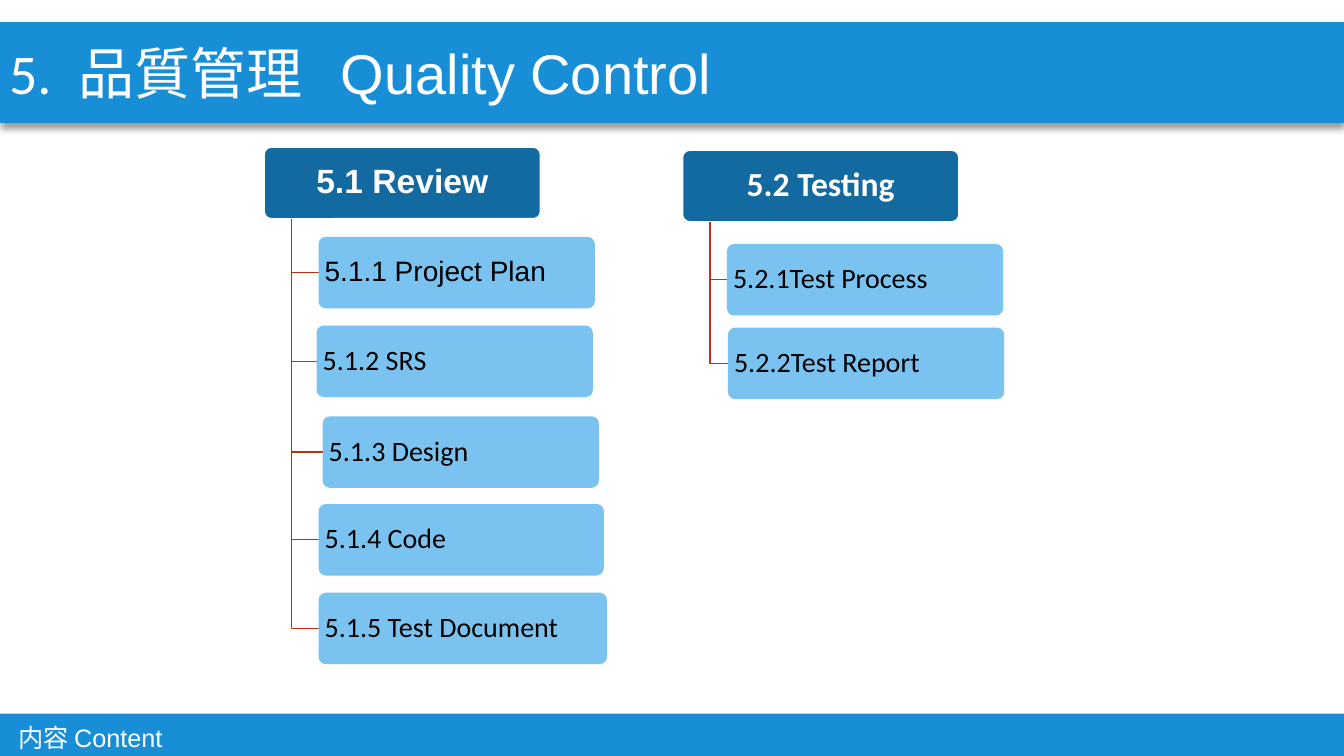
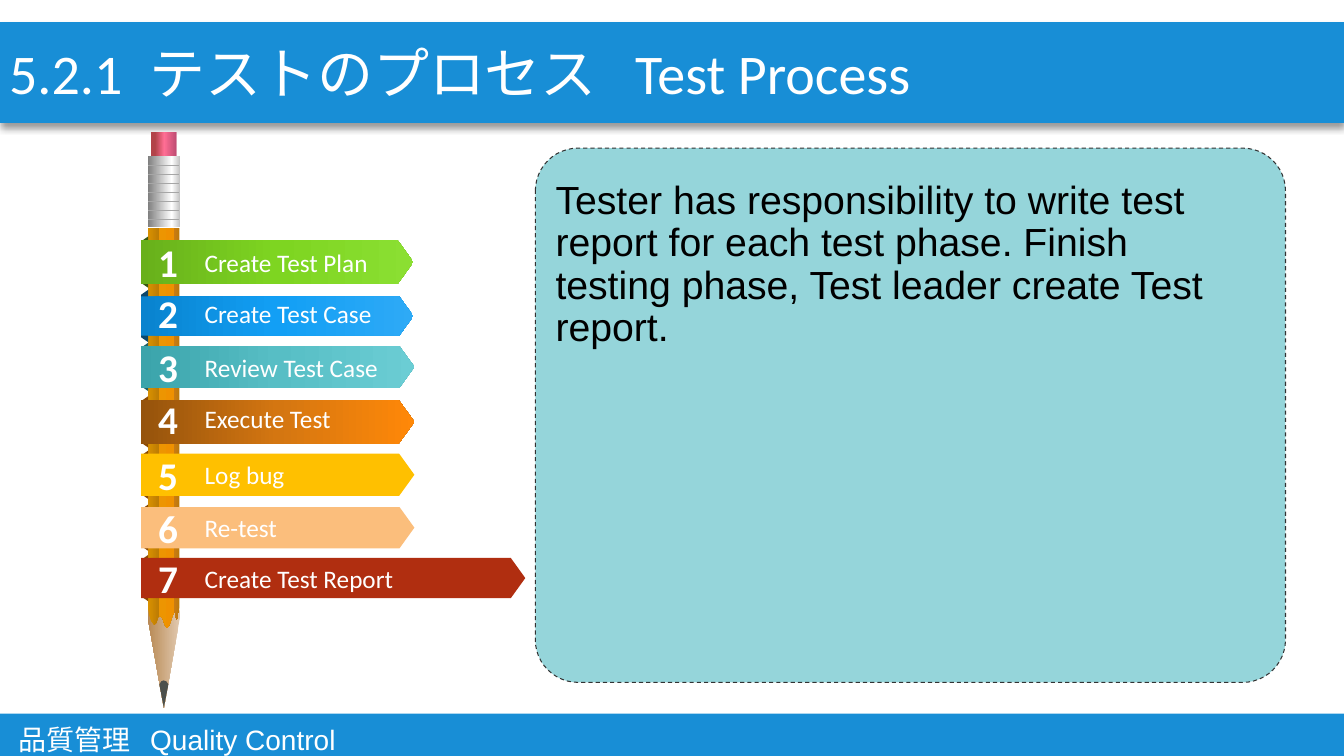
from pptx import Presentation
from pptx.dml.color import RGBColor
from pptx.enum.dml import MSO_LINE
from pptx.enum.shapes import MSO_CONNECTOR, MSO_SHAPE
from pptx.enum.text import MSO_ANCHOR, MSO_AUTO_SIZE, PP_ALIGN
from pptx.oxml import parse_xml
from pptx.oxml.ns import nsdecls, qn
from pptx.util import Inches, Pt

RECT, ROUND = MSO_SHAPE.RECTANGLE, MSO_SHAPE.ROUNDED_RECTANGLE
ARROW, FOLD = MSO_SHAPE.PENTAGON, MSO_SHAPE.TRAPEZOID
LINE, DASH = MSO_CONNECTOR.STRAIGHT, MSO_LINE.DASH
TOP, MID = MSO_ANCHOR.TOP, MSO_ANCHOR.MIDDLE
LEFT, MIDDLE = PP_ALIGN.LEFT, PP_ALIGN.CENTER
FIXED = MSO_AUTO_SIZE.NONE

COLS, ROWS = 133.3, 75
BLUE, DEEP, PALE, RUST = "188ED6", "126AA0", "6CBDEF", "BB3111"
WHITE, BLACK = "FFFFFF", "000000"
SANS, BODY = "Arial", "Calibri"

STEPS = [
    ("Create Test Plan", 23.8, 4.4, 5.1, 27, 0, "375814", ["68B01B", "7ED521", "8BDF32"]),
    ("Create Test Case", 29.4, 3.9, 5.2, 27, 0.3, "0C476B", ["0983CE", "129FF5", "2EAAF6"]),
    ("Review Test Case", 34.3, 4.2, 4.8, 27.1, 0, "236064", ["3BA4AB", "57BEC5", "6BCDD4"]),
    ("Execute Test", 39.65, 4.4, 5.1, 27.1, 0.3, "8B4A04", ["95530C", "D47611", "FF8808"]),
    ("Log bug", 45, 4.2, 4.8, 27.1, 0, "8B4A04", ["FFC000"]),
    ("Re-test", 50.3, 4.1, 4.6, 27.1, 0, "8B4A04", ["FBBE7C"]),
    ("Create Test Report", 55.35, 4, 4.6, 38.1, 0, "8B4A04", ["B02E10"]),
]
WOOD = [(0, "D99100"), (33, "BD7C04"), (34, "ED9501"), (82, "EF9100"),
        (83, "C87B14"), (100, "BC7908")]
EDGE = [(3.1, 47.1), (3, 47.9), (2.8, 48.4), (2.7, 47.8), (2.6, 47.6), (2.4, 48),
        (2.1, 48.9), (1.9, 49.2), (1.7, 49), (1.4, 48.2), (1.2, 48), (1, 48.1),
        (0.8, 48.7), (0.6, 48.9), (0.3, 48.5), (0.1, 47.9), (0, 47.4)]


def cell(n):
    """Turn grid cells, ten to the inch, into a length."""
    return Inches(n / 10)


def tint(code):
    """Give the colour for a hex string."""
    return RGBColor.from_string(code)


def place(shape, x, y, w, h):
    """Move a shape to a box on the grid."""
    shape.left, shape.top, shape.width, shape.height = map(cell, (x, y, w, h))


def paint(shape, fill):
    """Give a shape a plain fill, no line and no shadow."""
    shape.shadow.inherit = False
    shape.line.fill.background()
    shape.fill.solid()
    shape.fill.fore_color.rgb = tint(fill)


def stroke(shape, code, width):
    """Give a shape or connector a line."""
    shape.line.color.rgb = tint(code)
    shape.line.width = Pt(width)


def shade(shape, stops, angle=0):
    """Replace the fill of a shape by a linear gradient."""
    marks = "".join(f'<a:gs pos="{pos * 1000}"><a:srgbClr val="{code}"/></a:gs>'
                    for pos, code in stops)
    props = shape.element.spPr
    props.replace(props.find(qn("a:solidFill")), parse_xml(
        f'<a:gradFill {nsdecls("a")} rotWithShape="1"><a:gsLst>{marks}</a:gsLst>'
        f'<a:lin ang="{angle * 60000}" scaled="0"/></a:gradFill>'))


def block(slide, kind, box, fill, adj=None, turn=0):
    """Add a preset shape on the grid."""
    shape = slide.shapes.add_shape(kind, *map(cell, box))
    paint(shape, fill)
    shape.rotation = turn
    if adj is not None:
        shape.adjustments[0] = adj
    return shape


def trace(slide, points, close=True):
    """Add a freeform through grid points."""
    first, *rest = [(cell(x), cell(y)) for x, y in points]
    pen = slide.shapes.build_freeform(*first)
    pen.add_line_segments(rest, close=close)
    return pen.convert_to_shape()


def outline(slide, points, fill):
    """Add a filled polygon on the grid."""
    shape = trace(slide, points)
    paint(shape, fill)
    return shape


def elbow(slide, x, y, right, low):
    """Draw a bent branch, down and then right."""
    shape = trace(slide, [(x, y), (x, low), (right, low)], False)
    shape.shadow.inherit = False
    shape.fill.background()
    stroke(shape, RUST, 1)


def wire(slide, start, end, code, width):
    """Add a straight line between two grid points."""
    line = slide.shapes.add_connector(LINE, *map(cell, start + end))
    stroke(line, code, width)
    line.element.spPr.append(parse_xml(f'<a:effectLst {nsdecls("a")}/>'))


def write(shape, runs, size, code=WHITE, bold=False, align=LEFT, anchor=MID,
          pad=(0.5, 0.3, 0.5, 0.3), space=1, tabs=(), plain=False):
    """Fill a shape with one paragraph of (text, font) runs."""
    frame = shape.text_frame
    frame.auto_size, frame.word_wrap, frame.vertical_anchor = FIXED, True, anchor
    (frame.margin_left, frame.margin_top,
     frame.margin_right, frame.margin_bottom) = map(cell, pad)
    para = frame.paragraphs[0]
    props = para._p.get_or_add_pPr()
    if plain:
        props.set("marL", "0")
        props.set("indent", "0")
        props.append(parse_xml(f'<a:buNone {nsdecls("a")}/>'))
    if tabs:
        stops = "".join(f'<a:tab pos="{cell(n)}" algn="l"/>' for n in tabs)
        props.append(parse_xml(f'<a:tabLst {nsdecls("a")}>{stops}</a:tabLst>'))
    para.alignment, para.line_spacing, para.space_before = align, space, Pt(0)
    for text, face in runs:
        run = para.add_run()
        run.text = text
        font = run.font
        font.name, font.size, font.bold = face, Pt(size), bold
        font.color.rgb = tint(code)


def frame(slide, runs, tabs, foot, size, stops=()):
    """Set the title on its band, and the footer band."""
    band = block(slide, RECT, (0, 2.2, COLS, 10), BLUE)
    band.element.spPr.find(qn("a:effectLst")).append(parse_xml(
        f'<a:outerShdw {nsdecls("a")} blurRad="{Pt(5)}" dist="{Pt(3)}" dir="5400000" '
        'algn="t" rotWithShape="0"><a:srgbClr val="000000"><a:alpha val="40000"/>'
        '</a:srgbClr></a:outerShdw>'))
    title = slide.shapes.title
    place(title, 0, 3.3, COLS, 7.7)
    write(title, runs, 40, anchor=TOP, pad=(0.9, 0.5, 1, 0), tabs=tabs)
    band.element.addnext(title.element)
    base = block(slide, RECT, (0, 70.8, COLS, ROWS - 70.8), BLUE)
    write(base, [(foot, SANS)], size, anchor=TOP, pad=(1.8, 0.85, 1, 0), tabs=stops)


def tree(slide, x, y, head, face, kids):
    """Draw a heading with its branches, from its top left corner."""
    root = block(slide, ROUND, (x, y, 27.4, 7.1), DEEP, 0.1)
    stroke(root, WHITE, 1)
    write(root, [(head, face)], 24, bold=True, align=MIDDLE, space=0.9)
    tall = 7.1
    for dx, dy, wide, text, font in kids:
        elbow(slide, x + 2.7, y + tall, x + dx, y + dy + tall / 2)
        leaf = block(slide, ROUND, (x + dx, y + dy, wide, tall), PALE, 0.1)
        code = leaf.element.spPr.find(qn("a:solidFill"))[0]
        code.append(parse_xml(f'<a:alpha {nsdecls("a")} val="90000"/>'))
        write(leaf, [(text, font)], 20, BLACK, pad=(0.4, 0.5, 0.4, 0.5), space=0.9)


def pencil(slide, x, y):
    """Draw the upright pencil from its top left corner."""
    cone = block(slide, ARROW, (x - 3.3, y + 50.7, 9.7, 3.2), "E1C9AF", 2.82, 90)
    shade(cone, [(0, "E1C9AF"), (100, "B88954")], 90)
    wood = [(0, 9.5), (3.1, 9.5)] + EDGE
    shade(outline(slide, [(x + dx, y + dy) for dx, dy in wood], "ED9501"), WOOD)
    ring = block(slide, RECT, (x, y + 2.4, 3.2, 7), WHITE)
    shade(ring, [(0, "BFBFBF"), (27, WHITE), (100, "808080")], 180)
    cap = block(slide, RECT, (x + 0.3, y, 2.5, 2.4), "FF6E94")
    shade(cap, [(16, "B24349"), (52, "FF6E94"), (100, "BF4C73")])
    lead = [(1.1, 54.8), (1.3, 54.5), (1.5, 54.4), (1.8, 54.5), (2, 54.8), (1.55, 57.1)]
    outline(slide, [(x + dx, y + dy) for dx, dy in lead], "4C504C")
    for i in range(7):
        row = y + 3.3 + 0.9 * i
        wire(slide, (x, row), (x + 3.1, row), "A6A6A6", 0.5)


def ribbon(slide, x, rank, step):
    """Draw one numbered step with its fold."""
    text, y, tall, back, wide, lift, dark, codes = step
    mid = y + tall / 2
    block(slide, FOLD, (x + 0.35 - back / 2, mid - 0.35, back, 0.7), dark, 0.7, 270)
    flag = block(slide, ARROW, (x, y, wide, tall), codes[0], 0.36)
    if len(codes) > 1:
        shade(flag, zip((0, 50, 100), codes))
    write(flag, [(text, BODY)], 18, pad=(6.3, 0, 0, 2 * lift))
    mark = slide.shapes.add_textbox(*map(cell, (x + 0.7, mid - 2.85 - lift, 4.2, 5.7)))
    write(mark, [(str(rank), BODY)], 28, bold=True, pad=(1, 0.5, 0.5, 0.5))


def panel(slide, x, y, wide, tall, text):
    """Draw the dashed panel and set the body text on it."""
    card = block(slide, ROUND, (x, y, wide, tall), "95D5DA", 0.08)
    stroke(card, "333333", 0.75)
    card.line.dash_style = DASH
    body = slide.placeholders[1]
    place(body, x + 1, y + 2.7, wide - 3.5, tall - 6)
    write(body, [(text, SANS)], 28, BLACK, anchor=TOP, pad=(1, 0.5, 1, 0.5),
          space=0.9, plain=True)
    card.element.addnext(body.element)


def outlook(deck):
    """Build the slide with the two trees."""
    slide = deck.slides.add_slide(deck.slide_layouts[5])
    frame(slide, [("5.\t", BODY), ("品質管理\tQuality Control", SANS)], (6.9, 32.9),
          "内容 Content", 18)
    tree(slide, 26.2, 14.6, "5.1 Review", SANS, [
        (5.4, 8.9, 27.4, "5.1.1 Project Plan", SANS),
        (5.2, 17.7, 27.4, "5.1.2 SRS", BODY),
        (5.8, 26.7, 27.4, "5.1.3 Design", BODY),
        (5.4, 35.4, 28.3, "5.1.4 Code", BODY),
        (5.4, 44.2, 28.6, "5.1.5 Test Document", BODY)])
    tree(slide, 67.7, 14.9, "5.2 Testing", BODY, [
        (4.4, 9.3, 27.4, "5.2.1Test Process", BODY),
        (4.5, 17.6, 27.4, "5.2.2Test Report", BODY)])


def process(deck):
    """Build the slide with the pencil and its steps."""
    slide = deck.slides.add_slide(deck.slide_layouts[1])
    frame(slide, [("5.2.1\tテストのプロセス\tTest Process", BODY)], (13.9, 62.1),
          "品質管理\tQuality Control", 20, (13.1,))
    pencil(slide, 14.7, 13.1)
    for rank, step in enumerate(STEPS, 1):
        ribbon(slide, 14, rank, step)
    panel(slide, 53.1, 14.7, 74.4, 53,
          "Tester has responsibility to write test report for each test phase. "
          "Finish testing phase, Test leader create Test report.")


def main():
    """Build and save the deck."""
    deck = Presentation()
    deck.slide_width, deck.slide_height = cell(COLS), cell(ROWS)
    outlook(deck)
    process(deck)
    deck.save("out.pptx")


if __name__ == "__main__":
    main()
